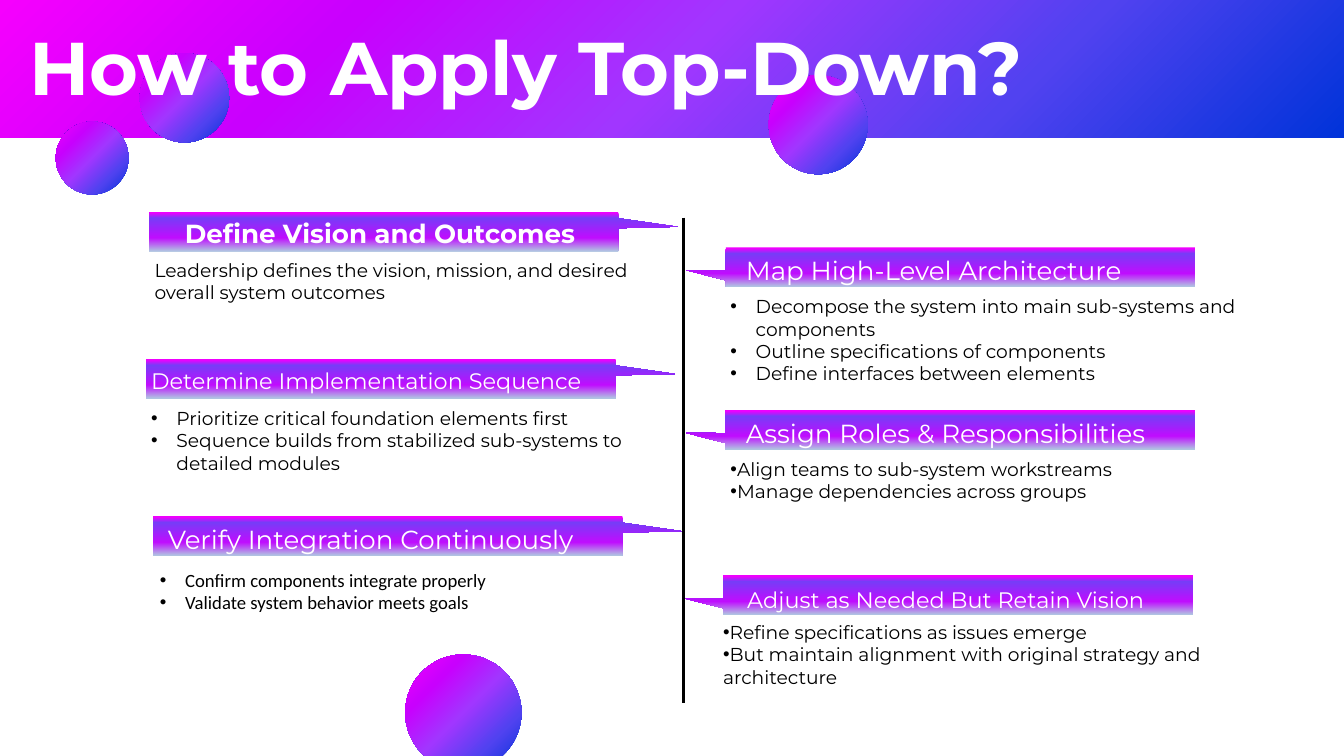
from dataclasses import dataclass
from typing import Optional

from lxml.etree import SubElement
from pptx import Presentation
from pptx.dml.color import RGBColor
from pptx.enum.shapes import MSO_CONNECTOR, MSO_SHAPE
from pptx.enum.text import MSO_ANCHOR, MSO_AUTO_SIZE, PP_ALIGN
from pptx.oxml.ns import qn
from pptx.util import Pt

COLORS = {"text": "000000", "light": "FFFFFF", "line": "000000"}
CALLOUT_STOPS = [(3, "EF00FE"), (16, "773CF7"), (66, "BF0DFE"), (100, "B0C6E1"), (100, "CAD9EB")]
GLOW_STOPS = [(0, "F600FE"), (25, "C900FE"), (50, "A136FF"), (75, "5142F0"), (100, "0033D9")]
CALLOUT_W, CALLOUT_H = 503.28, 42.48
HEAD_W, HEAD_H = 499.68, 32.8
LINE_H = 24.3
TAIL_TO_RIGHT, TAIL_TO_LEFT = (0.627, -0.118), (-0.584, 0.079)
FRAME = {"word_wrap": True, "auto_size": MSO_AUTO_SIZE.NONE, "vertical_anchor": MSO_ANCHOR.TOP,
         "margin_left": 0, "margin_top": 0, "margin_right": 0, "margin_bottom": 0}


@dataclass
class Style:
    size: float
    color: str = "text"
    bold: bool = False
    font: str = "Montserrat"
    spacing: Optional[float] = None
    bullet: bool = False
    indent: float = 0


@dataclass
class Step:
    head: str
    callout: tuple[float, float]
    tail: tuple[float, float]
    head_at: tuple[float, float]
    body_at: tuple[float, float]
    body_w: float
    rows: int
    lines: list[str]
    head_size: float = 28
    bold: bool = False
    bullet: bool = True
    indent: float = 27
    font: str = "Montserrat"


STEPS = [
    Step("Define Vision and Outcomes", (159.12, 226.8), TAIL_TO_RIGHT, (198, 233.28),
         (165.6, 277.2), 566.64, 2,
         ["Leadership defines the vision, mission, and desired overall system outcomes"],
         bold=True, bullet=False, indent=0),
    Step("Map High-Level Architecture", (777.6, 264.96), TAIL_TO_LEFT, (799.2, 272.88),
         (782.64, 316.08), 573.12, 4,
         ["Decompose the system into main sub-systems and components",
          "Outline specifications of components",
          "Define interfaces between elements"]),
    Step("Determine Implementation Sequence", (156.24, 384.48), TAIL_TO_RIGHT, (162, 388.08),
         (162, 435.6), 566.64, 3,
         ["Prioritize critical foundation elements first",
          "Sequence builds from stabilized sub-systems to detailed modules"], head_size=24),
    Step("Assign Roles & Responsibilities", (776.88, 439.2), TAIL_TO_LEFT, (799.2, 447.12),
         (782.64, 490.32), 503.28, 2,
         ["Align teams to sub-system workstreams",
          "Manage dependencies across groups"], indent=0),
    Step("Verify Integration Continuously", (163.44, 552.96), TAIL_TO_RIGHT, (180, 560.88),
         (171.36, 609.12), 566.64, 2,
         ["Confirm components integrate properly",
          "Validate system behavior meets goals"], font="Calibri"),
    Step("Adjust as Needed But Retain Vision", (774.72, 616.32), TAIL_TO_LEFT, (800.64, 622.8),
         (774.72, 665.28), 538.56, 3,
         ["Refine specifications as issues emerge",
          "But maintain alignment with original strategy and architecture"],
         head_size=24, indent=0),
]
# left, top, diameter
CIRCLES = [(434.16, 701.28, 124.56), (823.68, 80.64, 106), (149.76, 56.88, 95.76), (59.76, 130.32, 78)]


def set_gradient(shape, stops: list[tuple[int, str]], radial: bool) -> None:
    """Fill with colour stops, from the top-left corner if radial, else from top to bottom."""
    sppr = shape._element.spPr
    grad = SubElement(sppr, qn("a:gradFill"), rotWithShape="1")
    gs_list = SubElement(grad, qn("a:gsLst"))
    for pos, color in stops:
        gs = SubElement(gs_list, qn("a:gs"), pos=str(pos * 1000))
        SubElement(gs, qn("a:srgbClr"), val=color)
    if radial:
        path = SubElement(grad, qn("a:path"), path="circle")
        SubElement(path, qn("a:fillToRect"), l="0", t="0", r="100000", b="100000")
    else:
        SubElement(grad, qn("a:lin"), ang="5400000", scaled="0")
    shape.line.fill.background()
    shape.shadow.inherit = False
    sppr.find(qn("a:prstGeom")).addnext(grad)


def place(shape, left: float, top: float, width: float, height: float) -> None:
    box = {"left": left, "top": top, "width": width, "height": height}
    for name, value in box.items():
        setattr(shape, name, Pt(value))


def write(shape, lines: list[str], style: Style) -> None:
    tf = shape.text_frame
    for name, value in FRAME.items():
        setattr(tf, name, value)
    for i, line in enumerate(lines):
        p = tf.paragraphs[0] if i == 0 else tf.add_paragraph()
        p.alignment = PP_ALIGN.LEFT
        p.space_before = p.space_after = Pt(0)
        p.line_spacing = Pt(style.spacing) if style.spacing else 1.0
        ppr = p._p.get_or_add_pPr()
        ppr.set("marL", str(Pt(style.indent)))
        ppr.set("indent", str(-Pt(style.indent)))
        if style.bullet:
            SubElement(ppr, qn("a:buFont"), typeface="Arial")
            SubElement(ppr, qn("a:buChar"), char="•")
        else:
            SubElement(ppr, qn("a:buNone"))
        r = p.add_run()
        r.text = line
        font = {"name": style.font, "size": Pt(style.size), "bold": style.bold}
        for name, value in font.items():
            setattr(r.font, name, value)
        r.font.color.rgb = RGBColor.from_string(COLORS[style.color])


def add_text(s, left: float, top: float, width: float, height: float,
             lines: list[str], style: Style, holder=None) -> None:
    """Write into the placeholder given, or into a new text box."""
    sp = holder or s.shapes.add_textbox(0, 0, 0, 0)
    place(sp, left, top, width, height)
    write(sp, lines, style)


def add_glow(s, kind: MSO_SHAPE, left: float, top: float, width: float, height: float) -> None:
    sp = s.shapes.add_shape(kind, Pt(left), Pt(top), Pt(width), Pt(height))
    set_gradient(sp, GLOW_STOPS, radial=True)


def add_step(s, step: Step, holder) -> None:
    sp = s.shapes.add_shape(MSO_SHAPE.RECTANGULAR_CALLOUT, 0, 0, 0, 0)
    place(sp, *step.callout, CALLOUT_W, CALLOUT_H)
    for i, value in enumerate(step.tail):
        sp.adjustments[i] = value
    set_gradient(sp, CALLOUT_STOPS, radial=False)
    add_text(s, *step.head_at, HEAD_W, HEAD_H, [step.head],
             Style(step.head_size, "light", step.bold, spacing=33.6))
    add_text(s, *step.body_at, step.body_w, step.rows * LINE_H, step.lines,
             Style(20, font=step.font, bullet=step.bullet, indent=step.indent), holder)


def add_timeline(s) -> None:
    line = s.shapes.add_connector(MSO_CONNECTOR.STRAIGHT, Pt(732.24), Pt(233.28), Pt(732.24), Pt(753.12))
    line.line.color.rgb = RGBColor.from_string(COLORS["line"])
    line.line.width = Pt(3)
    SubElement(line._element.spPr, qn("a:effectLst"))


def main() -> None:
    prs = Presentation()
    prs.slide_width, prs.slide_height = Pt(1440), Pt(810)
    s = prs.slides.add_slide(prs.slide_layouts.get_by_name("Comparison"))
    title = s.shapes.title
    # The layout has four bodies; any further list gets a text box.
    bodies = iter([ph for ph in s.placeholders if ph.placeholder_format.idx in range(1, 5)])
    for step in STEPS:
        add_step(s, step, next(bodies, None) if step.bullet else None)
    add_timeline(s)
    add_glow(s, MSO_SHAPE.RECTANGLE, 0, 0, 1440, 147.6)
    for left, top, size in CIRCLES:
        add_glow(s, MSO_SHAPE.OVAL, left, top, size, size)
    s.shapes._spTree.append(title._element)
    add_text(s, 31.68, 93.6, 1131.84, 40.32, ["How to Apply Top-Down?"],
             Style(80, "light", True, spacing=25.1), title)
    prs.save("out.pptx")


if __name__ == "__main__":
    main()
